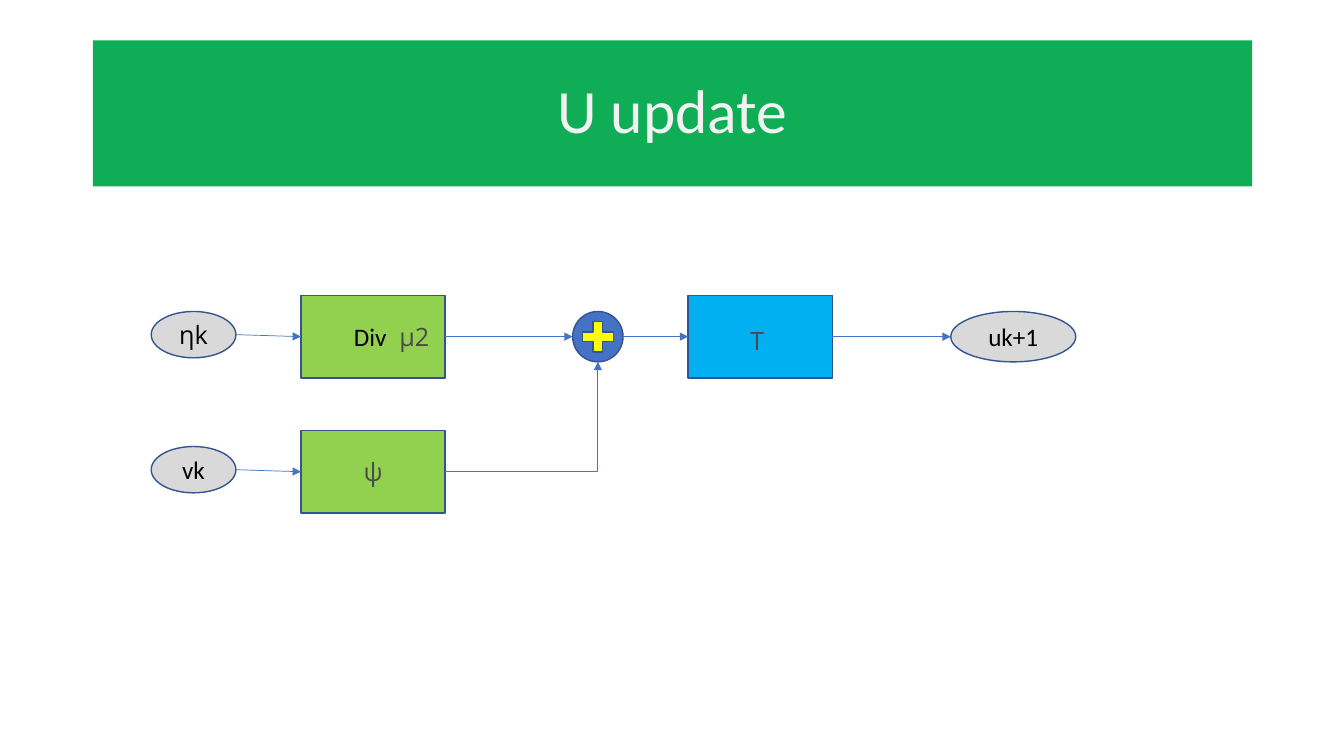
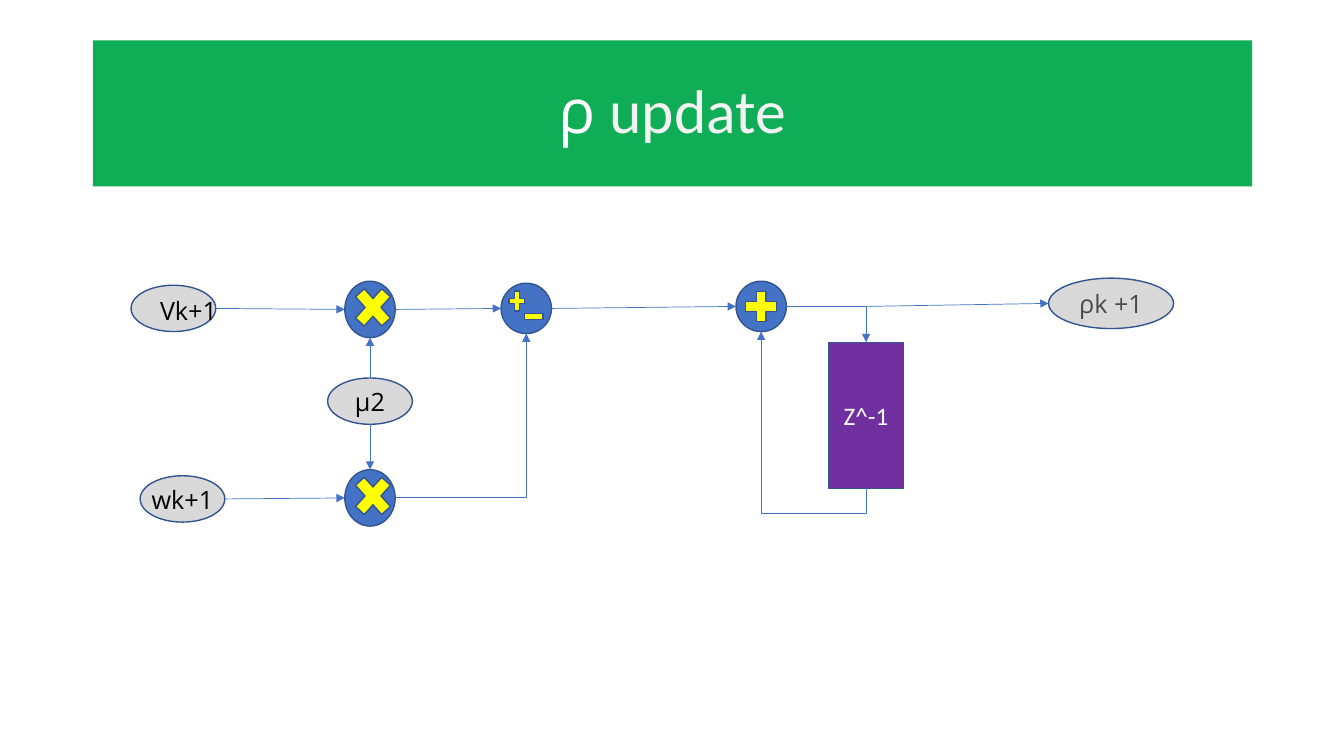
from pptx import Presentation
from pptx.dml.color import RGBColor
from pptx.enum.shapes import MSO_CONNECTOR, MSO_SHAPE
from pptx.enum.text import MSO_ANCHOR, PP_ALIGN
from pptx.oxml.ns import qn
from pptx.util import Inches, Pt
from lxml.etree import SubElement

BAND = RGBColor(0x0F, 0xAD, 0x56)
PALE = RGBColor(0xF2, 0xF2, 0xF2)
WHITE = RGBColor(0xFF, 0xFF, 0xFF)
BLACK = RGBColor(0, 0, 0)
INK = RGBColor(0x4A, 0x4A, 0x4A)
GREY = RGBColor(0xD9, 0xD9, 0xD9)
GREEN = RGBColor(0x92, 0xD0, 0x50)
SKY = RGBColor(0x00, 0xB0, 0xF0)
PURPLE = RGBColor(0x70, 0x30, 0xA0)
BLUE = RGBColor(0x44, 0x72, 0xC4)
EDGE = RGBColor(0x32, 0x54, 0x91)
YELLOW = RGBColor(0xFF, 0xFF, 0x00)

SANS, BODY = "Open Sans", "Calibri"
CELL = Inches(0.1)
TOP, LEFT, BOTTOM, RIGHT = range(4)
SIDES = ((0.5, 0), (0, 0.5), (0.5, 1), (1, 0.5))
OVAL, BOX = MSO_SHAPE.OVAL, MSO_SHAPE.RECTANGLE
DISC = MSO_SHAPE.FLOWCHART_CONNECTOR
PLUS, MINUS, TIMES = MSO_SHAPE.MATH_PLUS, MSO_SHAPE.MATH_MINUS, MSO_SHAPE.MATH_MULTIPLY


def write(frame, *runs, size=18, font=BODY, color=BLACK, wrap=False, space=1.0):
    """Write centred runs; a run is a string or a (string, font, colour) tuple."""
    frame.word_wrap = wrap
    frame.vertical_anchor = MSO_ANCHOR.MIDDLE
    para = frame.paragraphs[0]
    para.alignment = PP_ALIGN.CENTER
    para.line_spacing = space
    for item in runs:
        text, face, ink = (item, font, color) if isinstance(item, str) else item
        run = para.add_run()
        run.text = text
        run.font.size, run.font.name = Pt(size), face
        run.font.color.rgb = ink


def head(deck, *runs):
    """Add a slide with the green title band."""
    slide = deck.slides.add_slide(deck.slide_layouts[5])
    title = slide.shapes.title
    title.left, title.top = Inches(0.92), Inches(0.4)
    title.width, title.height = Inches(11.5), Inches(1.45)
    title.fill.solid()
    title.fill.fore_color.rgb = BAND
    write(title.text_frame, *runs, size=44, color=PALE, wrap=True, space=0.9)
    return slide


class Board:
    """A diagram area measured in cells from its top left corner."""

    def __init__(self, slide, left, top):
        """Set the area's corner."""
        self.shapes = slide.shapes
        self.left, self.top = Inches(left), Inches(top)

    def frame(self, col, row, wide, high):
        """Turn a centre and a size in cells into a slide box."""
        return (int(self.left + (col - wide / 2) * CELL),
                int(self.top + (row - high / 2) * CELL),
                int(wide * CELL), int(high * CELL))

    def node(self, kind, col, row, wide, high, fill, text="", **style):
        """Draw one outlined shape about its centre."""
        shape = self.shapes.add_shape(kind, *self.frame(col, row, wide, high))
        shape.shadow.inherit = False
        shape.fill.solid()
        shape.fill.fore_color.rgb = fill
        shape.line.color.rgb, shape.line.width = EDGE, Pt(1)
        if text:
            write(shape.text_frame, text, **style)
        return shape

    def label(self, col, row, text, **style):
        """Place free text about its centre."""
        box = self.shapes.add_textbox(*self.frame(col, row, 8, 4))
        write(box.text_frame, text, font=SANS, **style)

    def port(self, col, row, text, wide=8.4, high=4.6, **style):
        """Draw a grey signal oval."""
        return self.node(OVAL, col, row, wide, high, GREY, text, **style)

    def disc(self, col, row, *signs, high=5):
        """Draw an operator disc; a sign is (kind, dx, dy, width, height)."""
        disc = self.node(DISC, col, row, 5, high, BLUE)
        for kind, dx, dy, wide, tall in signs:
            self.node(kind, col + dx, row + dy, wide, tall, YELLOW)
        return disc

    def add(self, col, row):
        """Draw a summing disc."""
        return self.disc(col, row, (PLUS, 0, 0, 4.2, 4.1))

    def times(self, col, row):
        """Draw a multiplying disc."""
        return self.disc(col, row, (TIMES, 0.3, -0.2, 5, 5.6), high=5.6)

    def spot(self, end):
        """Find the slide point of a (shape, side) or (column, row) end."""
        if isinstance(end[0], (int, float)):
            return int(self.left + end[0] * CELL), int(self.top + end[1] * CELL)
        shape, side = end
        dx, dy = SIDES[side]
        return int(shape.left + dx * shape.width), int(shape.top + dy * shape.height)

    def wire(self, start, stop, bend=""):
        """Join two ends by an arrow, glued where an end is a shape."""
        x1, y1 = self.spot(start)
        x2, y2 = self.spot(stop)
        kind = MSO_CONNECTOR.ELBOW if bend else MSO_CONNECTOR.STRAIGHT
        line = self.shapes.add_connector(kind, x1, y1, x2, y2)
        line.line.color.rgb, line.line.width = BLUE, Pt(0.5)
        root = line._element
        props = root.spPr
        SubElement(props, qn("a:effectLst"))
        SubElement(line.line._get_or_add_ln(), qn("a:tailEnd"), type="triangle")
        if bend:
            props.find(qn("a:prstGeom")).set("prst", bend)
        glue = root.find(".//" + qn("p:cNvCxnSpPr"))
        for tag, end in (("a:stCxn", start), ("a:endCxn", stop)):
            if not isinstance(end[0], (int, float)):
                shape, side = end
                step = 1 if shape.auto_shape_type == BOX else 2
                SubElement(glue, qn(tag), id=str(shape.shape_id), idx=str(side * step))
        return line

    def loop(self, start, stop, drop):
        """Lead an arrow from a lower edge down, left and up to another."""
        line = self.wire(start, stop, "bentConnector3")
        (x1, y1), (x2, y2) = self.spot(start), self.spot(stop)
        wide, high = y1 - y2, x1 - x2
        line.left, line.top = (x1 + x2 - wide) // 2, (y1 + y2 - high) // 2
        line.width, line.height = wide, high
        props = line._element.spPr
        turn = props.find(qn("a:xfrm"))
        turn.attrib.pop("flipV", None)
        turn.set("flipH", "1")
        turn.set("rot", "5400000")
        guides = props.find(qn("a:prstGeom")).find(qn("a:avLst"))
        share = round(-drop * CELL / wide * 100000)
        SubElement(guides, qn("a:gd"), name="adj1", fmla=f"val {share}")


def control(board):
    """Draw the U update diagram."""
    eta = board.port(4.2, 4.2, "ηk", font=SANS)
    vee = board.port(4.2, 17.6, "vk")
    div = board.node(BOX, 22, 4.4, 14.3, 8.2, GREEN, "Div ")
    psi = board.node(BOX, 22, 17.8, 14.3, 8.2, GREEN, "ψ", font=SANS, color=INK)
    total = board.add(44.3, 4.4)
    tau = board.node(BOX, 60.4, 4.4, 14.3, 8.2, SKY)
    out = board.port(85.5, 4.4, "uk+1", 12.4, 5)
    board.label(26.1, 4.4, "μ2", color=INK)
    board.label(60.1, 4.8, "Τ", color=INK)
    for one, two in ((eta, div), (vee, psi), (div, total), (total, tau), (tau, out)):
        board.wire((one, RIGHT), (two, LEFT))
    board.wire((psi, RIGHT), (total, BOTTOM), "bentConnector2")


def penalty(board):
    """Draw the ρ update diagram."""
    vee = board.port(4.2, 3.6, "")
    board.label(5.7, 3.8, "Vk+1")
    dub = board.port(5.1, 22.5, "wk+1", font=SANS)
    mu = board.port(23.7, 12.8, "μ2", font=SANS)
    high, low = board.times(23.7, 3.7), board.times(23.7, 22.4)
    diff = board.disc(39.2, 3.6, (PLUS, -0.95, -0.75, 2.1, 2.7),
                      (MINUS, 0.75, 0.8, 2.5, 2.6))
    total = board.add(62.5, 3.4)
    delay = board.node(BOX, 72.9, 14.2, 7.4, 14.5, PURPLE, "Z^-1", color=WHITE)
    out = board.port(97.2, 3.1, "ρk +1", 12.4, 5, font=SANS, color=INK)
    for one, two in ((vee, high), (dub, low), (high, diff), (diff, total)):
        board.wire((one, RIGHT), (two, LEFT))
    board.wire((mu, TOP), (high, BOTTOM))
    board.wire((mu, BOTTOM), (low, TOP))
    board.wire((low, RIGHT), (diff, BOTTOM), "bentConnector2")
    board.wire((total, RIGHT), (delay, TOP), "bentConnector2")
    board.wire((72.9, 3.4), (out, LEFT))
    board.loop((delay, BOTTOM), (total, BOTTOM), 2.5)


def main():
    """Build and save the deck."""
    deck = Presentation()
    deck.slide_width, deck.slide_height = Inches(13.33), Inches(7.5)
    control(Board(head(deck, "U update"), 1.5, 2.9))
    penalty(Board(head(deck, ("ρ", SANS, WHITE), " update"), 1.3, 2.7))
    deck.save("out.pptx")


if __name__ == "__main__":
    main()
